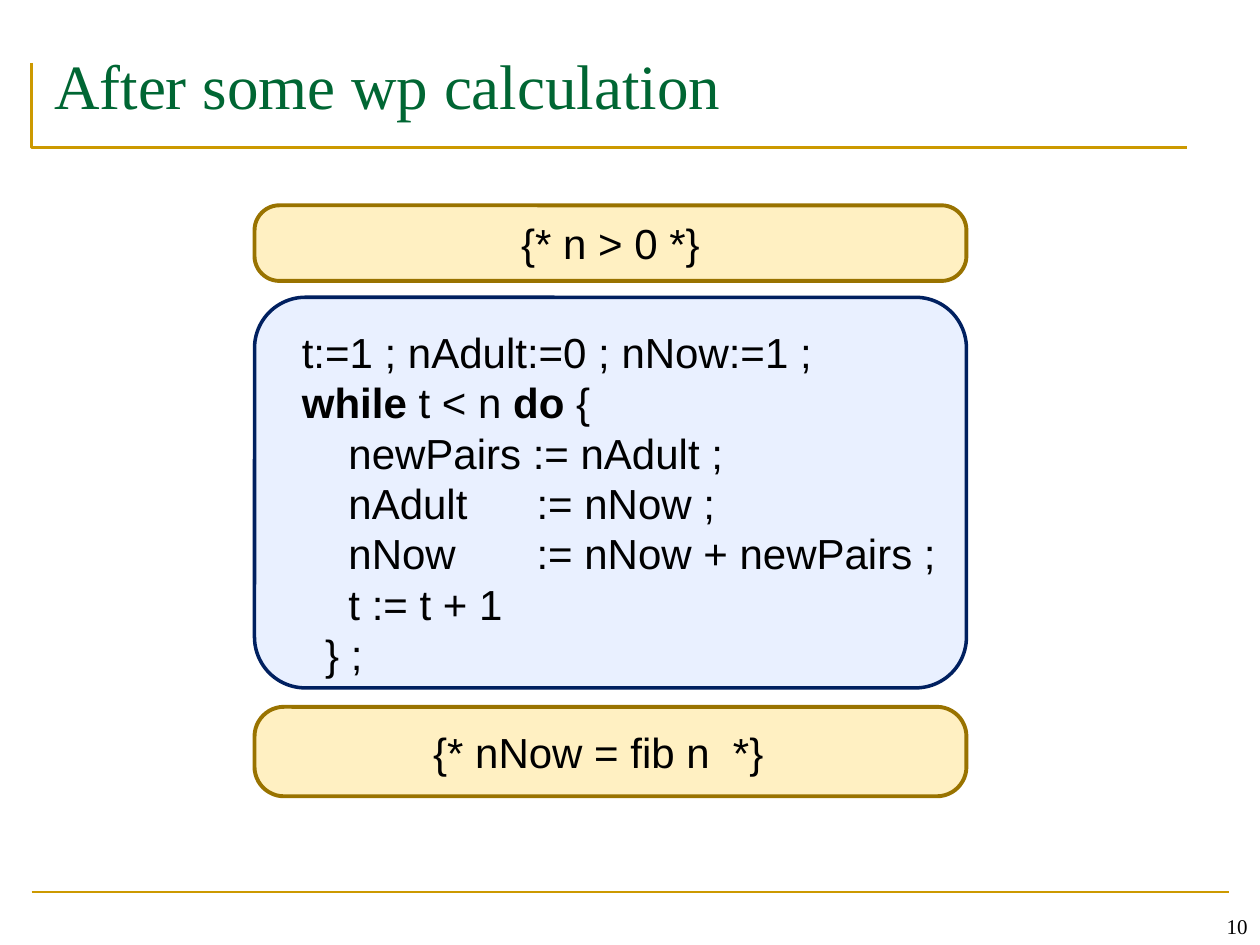
from lxml import etree
from pptx import Presentation
from pptx.dml.color import RGBColor
from pptx.enum.shapes import MSO_CONNECTOR, MSO_SHAPE
from pptx.enum.text import MSO_ANCHOR, MSO_AUTO_SIZE, PP_ALIGN
from pptx.oxml.ns import qn
from pptx.util import Inches, Pt

ROUNDED = MSO_SHAPE.ROUNDED_RECTANGLE
STRAIGHT = MSO_CONNECTOR.STRAIGHT
TOP, MIDDLE, BOTTOM = MSO_ANCHOR.TOP, MSO_ANCHOR.MIDDLE, MSO_ANCHOR.BOTTOM
LEFT, CENTER, RIGHT = PP_ALIGN.LEFT, PP_ALIGN.CENTER, PP_ALIGN.RIGHT
NO_FIT = MSO_AUTO_SIZE.NONE
TITLE_ONLY = 5

BODY = {"name": "Arial", "size": Pt(24), "color": "000000"}
TITLE = {"name": "Times New Roman", "size": Pt(36), "color": "006633"}
NUMBER = {"name": "Times New Roman", "size": Pt(12), "color": "000000"}
GOLD, CONDITION_FILL, CONDITION_LINE = "CC9900", "FFF0C2", "997300"
PROGRAM_FILL, PROGRAM_LINE = "6699FF", "002060"

PROGRAM_LEFT, PROGRAM_WIDTH = 2.02, 5.65
ASSIGN_TAB = 2.14
PROGRAM = [
    [("   t:=1 ; nAdult:=0 ; nNow:=1 ;", False)],
    [("   ", False), ("while", True), (" t < n ", False), ("do", True), (" {", False)],
    [("       newPairs := nAdult ;", False)],
    [("       nAdult\t:= nNow ;", False)],
    [("       nNow\t:= nNow + newPairs ;", False)],
    [("       t := t + 1", False)],
    [("     } ;", False)],
]


def rgb(value):
    return RGBColor.from_string(value)


class SlideBuilder:
    def __init__(self, slide):
        self.slide = slide
        self.shapes = slide.shapes

    def set_text(self, frame, lines, style, align=LEFT, anchor=TOP, tab=None):
        settings = {"word_wrap": True, "auto_size": NO_FIT, "vertical_anchor": anchor}
        for name, value in settings.items():
            setattr(frame, name, value)
        for index, line in enumerate(lines):
            paragraph = frame.paragraphs[0] if index == 0 else frame.add_paragraph()
            paragraph.alignment = align
            if tab:
                stops = etree.SubElement(paragraph._p.get_or_add_pPr(), qn("a:tabLst"))
                etree.SubElement(stops, qn("a:tab"), pos=str(Inches(tab)), algn="l")
            for text, bold in line:
                run = paragraph.add_run()
                run.text = text
                for name, value in {**style, "bold": bold}.items():
                    if name == "color":
                        run.font.color.rgb = rgb(value)
                    else:
                        setattr(run.font, name, value)

    def title(self, text, left, top, width, height):
        title = self.shapes.title
        place = {"left": left, "top": top, "width": width, "height": height}
        for name, value in place.items():
            setattr(title, name, Inches(value))
        self.set_text(title.text_frame, [[(text, False)]], TITLE)

    def textbox(self, lines, left, top, width, height, style, **layout):
        box = self.shapes.add_textbox(*map(Inches, (left, top, width, height)))
        self.set_text(box.text_frame, lines, style, **layout)

    def panel(self, top, height, fill, line, weight, rounding, opacity=None):
        panel = self.shapes.add_shape(
            ROUNDED, *map(Inches, (PROGRAM_LEFT, top, PROGRAM_WIDTH, height)))
        panel.shadow.inherit = False
        panel.adjustments[0] = rounding
        panel.fill.solid()
        panel.fill.fore_color.rgb = rgb(fill)
        if opacity:
            color = panel._element.spPr.find(qn("a:solidFill"))[0]
            etree.SubElement(color, qn("a:alpha"), val=str(opacity * 1000))
        panel.line.color.rgb = rgb(line)
        panel.line.width = Pt(weight)
        return panel

    def condition(self, text, top, height, right_inset=0.1):
        panel = self.panel(top, height, CONDITION_FILL, CONDITION_LINE, 2.25, 0.33)
        panel.text_frame.margin_right = Inches(right_inset)
        self.set_text(panel.text_frame, [[(text, False)]], BODY, CENTER, MIDDLE)

    def rule(self, left, right, y):
        rule = self.shapes.add_connector(STRAIGHT, *map(Inches, (left, y, right, y)))
        rule.line.color.rgb = rgb(GOLD)
        rule.line.width = Pt(1.5)
        etree.SubElement(rule._element.spPr, qn("a:effectLst"))

    def corner(self, left, top, right, bottom):
        outline = self.shapes.build_freeform(Inches(left), Inches(top))
        outline.add_line_segments(
            [(Inches(left), Inches(bottom)), (Inches(right), Inches(bottom))], close=False)
        corner = outline.convert_to_shape()
        corner.shadow.inherit = False
        corner.fill.background()
        corner.line.color.rgb = rgb(GOLD)
        corner.line.width = Pt(1.5)


def main():
    deck = Presentation()
    deck.slide_width, deck.slide_height = Inches(10), Inches(7.5)
    builder = SlideBuilder(deck.slides.add_slide(deck.slide_layouts[TITLE_ONLY]))
    builder.corner(0.25, 0.5, 9.42, 1.17)
    builder.rule(0.25, 9.75, 7.08)
    builder.title("After some wp calculation", 0.33, 0.32, 9.33, 1)
    builder.panel(2.36, 3.1, PROGRAM_FILL, PROGRAM_LINE, 2, 0.13, opacity=14)
    builder.textbox(PROGRAM, PROGRAM_LEFT, 2.54, PROGRAM_WIDTH, 2.93, BODY, tab=ASSIGN_TAB)
    builder.condition("{* n > 0 *}", 1.63, 0.6)
    builder.condition("{* nNow = fib n  *}", 5.61, 0.71, right_inset=0.29)
    builder.textbox([[("10", False)]], 7.67, 7, 2.33, 0.5, NUMBER, align=RIGHT, anchor=BOTTOM)
    deck.save("out.pptx")


if __name__ == "__main__":
    main()
